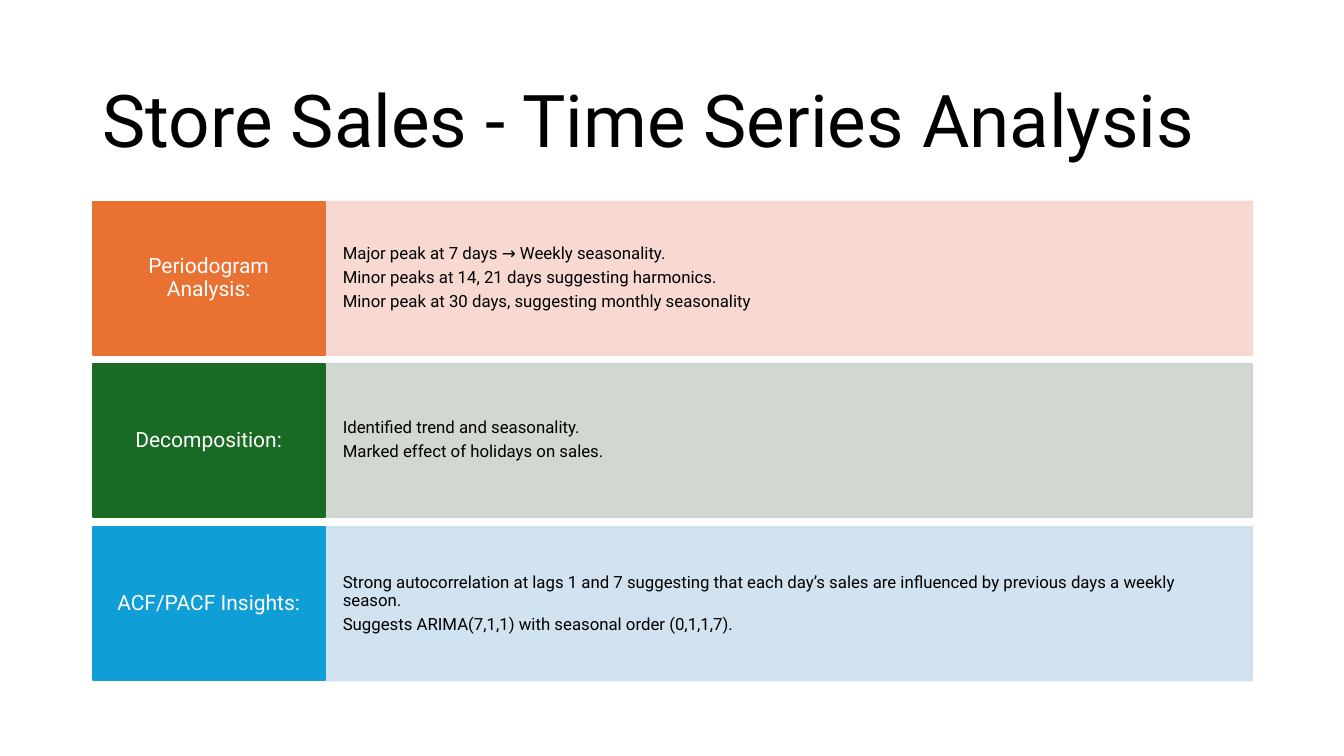
from pptx import Presentation
from pptx.dml.color import RGBColor
from pptx.enum.shapes import MSO_SHAPE as SHAPE
from pptx.enum.text import MSO_ANCHOR as ANCHOR, PP_ALIGN as ALIGN
from pptx.oxml.ns import qn
from pptx.util import Pt
from lxml import etree

PX = 9144  # 100 px to the inch

BLACK = RGBColor(0x00, 0x00, 0x00)
WHITE = RGBColor(0xFF, 0xFF, 0xFF)
ORANGE = RGBColor(0xE9, 0x71, 0x32)
ORANGE_TINT = RGBColor(0xF7, 0xD5, 0xCE)
GREEN = RGBColor(0x19, 0x6B, 0x24)
GREEN_TINT = RGBColor(0xCC, 0xD4, 0xCD)
BLUE = RGBColor(0x0F, 0x9E, 0xD5)
BLUE_TINT = RGBColor(0xCC, 0xDF, 0xEF)

ROWS = [
    ("Periodogram Analysis:", ORANGE, ORANGE_TINT, [
        "Major peak at 7 days → Weekly seasonality.",
        "Minor peaks at 14, 21 days suggesting harmonics.",
        "Minor peak at 30 days, suggesting monthly seasonality"]),
    ("Decomposition:", GREEN, GREEN_TINT, [
        "Identified trend and seasonality.",
        "Marked effect of holidays on sales."]),
    ("ACF/PACF Insights:", BLUE, BLUE_TINT, [
        "Strong autocorrelation at lags 1 and 7 suggesting that each day’s "
        "sales are influenced by previous days a weekly season.",
        "Suggests ARIMA(7,1,1) with seasonal order (0,1,1,7)."]),
]


class Deck:
    font = "Roboto"
    line_spacing = 0.9

    def __init__(self, width, height):
        self.prs = Presentation()
        self.prs.slide_width, self.prs.slide_height = width * PX, height * PX
        self.slide = self.prs.slides.add_slide(self.prs.slide_layouts[6])

    def fill_text(self, sp, lines, size, color, align=ALIGN.LEFT, inset=(10, 5), after=0):
        tf = sp.text_frame
        dx, dy = (v * PX for v in inset)
        frame = dict(word_wrap=True, vertical_anchor=ANCHOR.MIDDLE,
                     margin_left=dx, margin_right=dx, margin_top=dy, margin_bottom=dy)
        for name, value in frame.items():
            setattr(tf, name, value)
        para = dict(alignment=align, line_spacing=self.line_spacing, space_after=Pt(after))
        for i, line in enumerate(lines):
            p = tf.add_paragraph() if i else tf.paragraphs[0]
            for name, value in para.items():
                setattr(p, name, value)
            r = p.add_run()
            r.text = line
            for name, value in dict(name=self.font, size=Pt(size)).items():
                setattr(r.font, name, value)
            r.font.color.rgb = color

    def text(self, box, lines, size, color):
        sp = self.slide.shapes.add_textbox(*(v * PX for v in box))
        self.fill_text(sp, lines, size, color)

    def panel(self, box, fill, lines, size, color, opacity=100, **style):
        sp = self.slide.shapes.add_shape(SHAPE.RECTANGLE, *(v * PX for v in box))
        sp.shadow.inherit = False
        sp.fill.solid()
        sp.fill.fore_color.rgb = fill
        sp.line.color.rgb = fill
        sp.line.width = Pt(1.5)
        if opacity < 100:
            for clr in sp.element.spPr.iter(qn("a:srgbClr")):
                etree.SubElement(clr, qn("a:alpha")).set("val", str(opacity * 1000))
        self.fill_text(sp, lines, size, color, **style)


def main():
    deck = Deck(1333, 750)

    # Title
    deck.text((92, 61, 1150, 124), ["Store Sales - Time Series Analysis"], 52, BLACK)

    # Findings: one row per method, label on the left
    left, top, label_w, detail_w, height = 92, 200, 230, 920, 152
    for i, (label, color, tint, details) in enumerate(ROWS):
        y = top + i * 323 // 2
        deck.panel((left + label_w, y, detail_w, height), tint, details, 12, BLACK,
                   opacity=90, inset=(18, 39), after=4.2)
        deck.panel((left, y, label_w, height), color, [label], 15, WHITE,
                   align=ALIGN.CENTER, inset=(12, 15), after=5.25)

    deck.prs.save("out.pptx")


if __name__ == "__main__":
    main()
